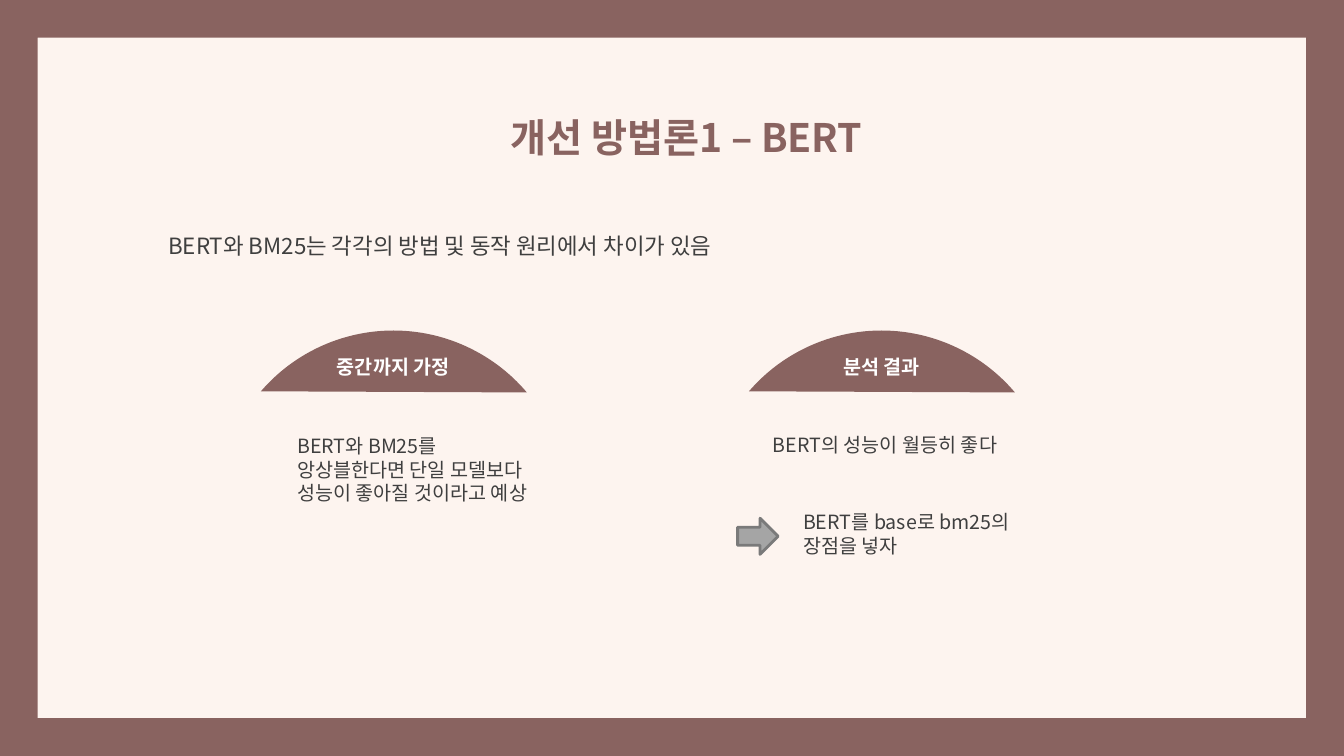
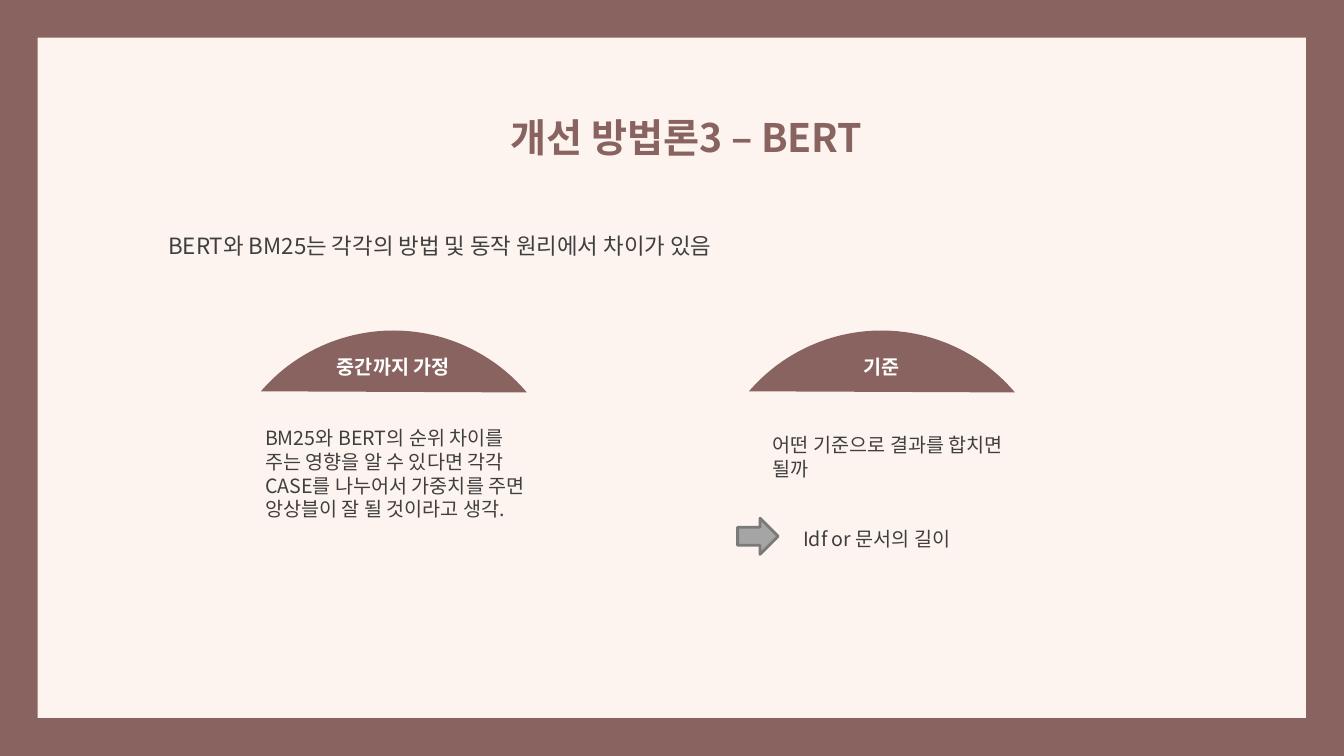
from pptx import Presentation
from pptx.dml.color import RGBColor
from pptx.enum import shapes, text
from pptx.oxml import ns
from pptx.util import Cm, Pt
from lxml import etree

MAUVE = RGBColor(0x89, 0x63, 0x60)
CREAM = RGBColor(0xFD, 0xF4, 0xEF)
INK = RGBColor(0x3F, 0x3F, 0x3F)
WHITE = RGBColor(0xFF, 0xFF, 0xFF)
GREY = RGBColor(0xA5, 0xA5, 0xA5)
EDGE = RGBColor(0x7A, 0x7A, 0x7A)
FONT = "Noto Sans CJK KR"
WIDE, HIGH = 33.87, 19.05
CAP = 8.81
LABEL = 4.19
KIND = shapes.MSO_SHAPE


def add_form(slide, kind, box, fill, edge=None):
    """Add a flat preset shape; box is left, top, width, height in cm."""
    form = slide.shapes.add_shape(kind, *map(Cm, box))
    form.shadow.inherit = False
    form.fill.solid()
    form.fill.fore_color.rgb = fill
    if edge is None:
        form.line.fill.background()
    else:
        form.line.color.rgb = edge
        form.line.width = Pt(2)
    return form


def add_text(slide, words, box, size=14, color=INK, bold=False,
             center=False, gap=None):
    """Add one wrapped paragraph in the shared font."""
    frame = slide.shapes.add_textbox(*map(Cm, box)).text_frame
    frame.word_wrap = True
    para = frame.paragraphs[0]
    para.text = words
    para.line_spacing = gap
    if center:
        para.alignment = text.PP_ALIGN.CENTER
    font = para.runs[0].font
    font.name, font.size, font.bold = FONT, Pt(size), bold
    font.color.rgb = color
    props = para.runs[0]._r.get_or_add_rPr()
    etree.SubElement(props, ns.qn("a:ea"), typeface=FONT)


def add_base(deck, title, lead):
    """Start a slide with the border, title and lead sentence."""
    slide = deck.slides.add_slide(deck.slide_layouts[6])
    slide.background.fill.solid()
    slide.background.fill.fore_color.rgb = CREAM
    border = add_form(slide, KIND.FRAME, (0, 0, WIDE, HIGH), MAUVE)
    border.adjustments[0] = 0.05
    add_text(slide, title, (8.89, 2.13, 16.81, 1.7), 28, MAUVE,
             bold=True, center=True, gap=1.5)
    add_text(slide, lead, (3.99, 5.38, 26.59, 1.6), 16, gap=1.5)
    return slide


def add_cap(slide, label, left, top):
    """Draw a dome with its heading centred inside."""
    dome = add_form(slide, KIND.CHORD, (left, top, CAP, CAP), MAUVE)
    dome.adjustments[0] = 132.43
    dome.adjustments[1] = 191.87
    add_text(slide, label,
             (left + (CAP - LABEL) / 2, top + 0.18, LABEL, 1.14),
             color=WHITE, bold=True, center=True, gap=1.5)


def add_column(slide, box, label, notes):
    """Draw a dome and its notes; notes hold words and a box inside."""
    left, top = box
    add_cap(slide, label, left, top)
    for words, (x, y, wide, high) in notes:
        add_text(slide, words, (left + x, top + y, wide, high))


def add_arrow(slide, left, top):
    """Draw the arrow that leads to the conclusion."""
    add_form(slide, KIND.RIGHT_ARROW, (left, top, 1.02, 0.91), GREY, EDGE)


LEAD = "BERT와 BM25는 각각의 방법 및 동작 원리에서 차이가 있음"
PAGES = [
    ("개선 방법론1 – BERT",
     ("중간까지 가정",
      [("BERT와 BM25를 앙상블한다면 단일 모델보다 성능이 좋아질 것이라고 예상",
        (1.73, 2.49, 6.3, 2.64))]),
     ("분석 결과",
      [("BERT의 성능이 월등히 좋다", (1.42, 2.46, 6.3, 2.06)),
       ("BERT를 base로 bm25의 장점을 넣자", (2.18, 4.4, 6.3, 1.45))])),
    ("개선 방법론3 – BERT",
     ("중간까지 가정",
      [("BM25와 BERT의 순위 차이를 주는 영향을 알 수 있다면 각각 "
        "CASE를 나누어서 가중치를 주면 앙상블이 잘 될 것이라고 생각.",
        (0.92, 2.29, 7.09, 3.25))]),
     ("기준",
      [("어떤 기준으로 결과를 합치면 될까", (1.42, 2.46, 6.3, 1.45)),
       ("Idf or 문서의 길이", (2.18, 4.83, 6.3, 0.86))])),
]

deck = Presentation()
deck.slide_width, deck.slide_height = Cm(WIDE), Cm(HIGH)
for title, *columns in PAGES:
    slide = add_base(deck, title, LEAD)
    for left, column in zip((5.51, 17.81), columns):
        add_column(slide, (left, 8.33), *column)
    add_arrow(slide, 18.59, 13.06)
deck.save("out.pptx")
